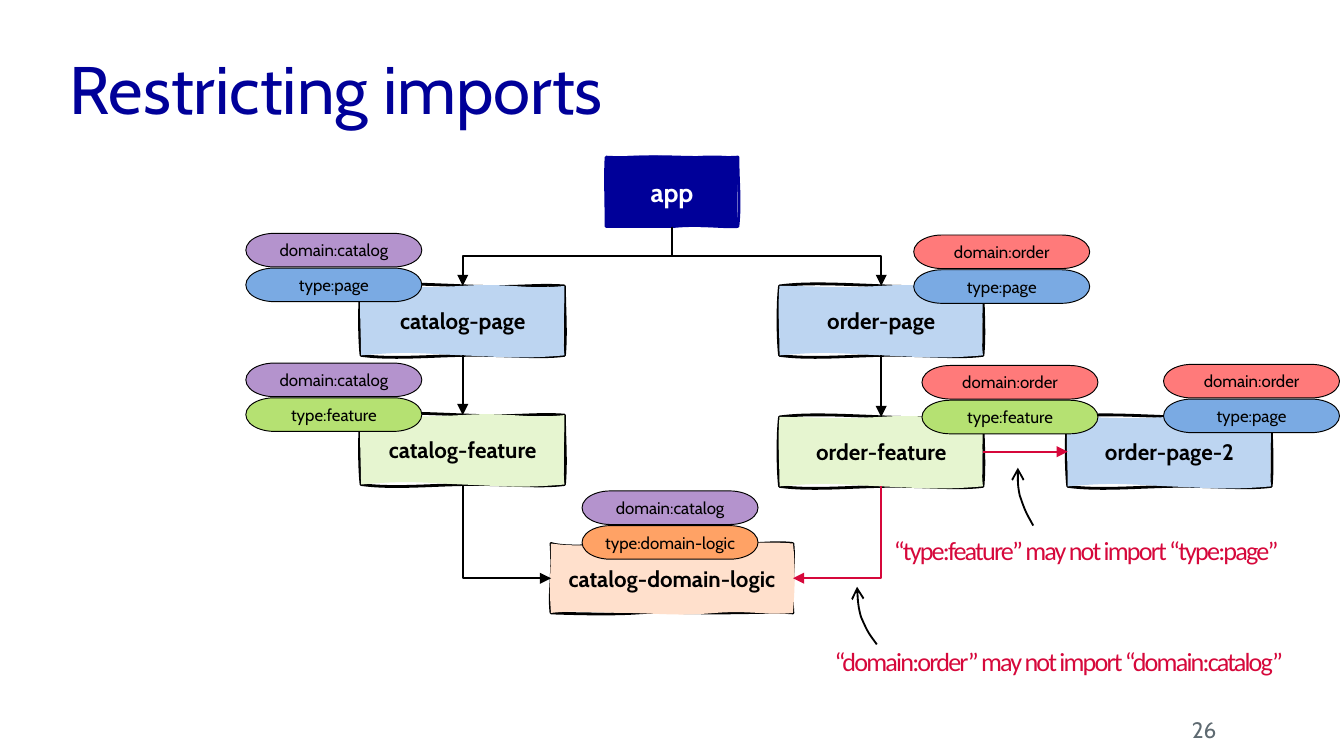
"""Builds the slide on import restrictions between tagged modules."""
from copy import deepcopy
from dataclasses import dataclass

from lxml.etree import SubElement
from pptx import Presentation
from pptx.dml.color import RGBColor
from pptx.enum.shapes import MSO_CONNECTOR, MSO_SHAPE
from pptx.enum.text import MSO_ANCHOR, PP_ALIGN
from pptx.oxml.ns import qn
from pptx.util import Pt

Point = tuple[float, float]


@dataclass(frozen=True)
class Theme:
    font: str = "Cabin"
    note_font: str = "Calibri"
    navy: str = "000099"
    black: str = "000000"
    white: str = "FFFFFF"
    gray: str = "5E6A71"
    red: str = "D6083B"
    light_blue: str = "BDD5F1"
    light_green: str = "E6F5D0"
    light_orange: str = "FFE0CC"
    blue: str = "7AAAE3"
    green: str = "B5E172"
    orange: str = "FFA265"
    catalog: str = "7030A0"
    order: str = "FF0000"
    title_size: float = 36
    app_size: float = 14
    module_size: float = 12
    note_size: float = 14
    tag_size: float = 9
    number_size: float = 12


THEME = Theme()
TAG_WIDTH, TAG_HEIGHT, TAG_PITCH = 94.3, 18, 18.6
SKETCH = (
    [(0, 0), (.13, -.05), (.27, -.03), (.52, 0), (.78, .03), (.85, -.03), (1, 0), (1, .37), (1.01, .64), (1, 1),
     (.88, 1.05), (.7, .99), (.51, 1), (.33, 1.01), (.15, 1.06), (0, 1), (-.01, .72), (-.01, .25), (0, 0)],
    [(0, 0), (.22, 0), (.25, .04), (.49, 0), (.74, -.05), (.8, .06), (1, 0), (1, .37), (.99, .8), (1, 1),
     (.8, 1.05), (.73, 1.03), (.5, 1), (.27, .97), (.23, .94), (0, 1), (0, .65), (-.01, .31), (0, 0)])
APP_SKETCH = (
    [(0, 0), (.14, .02), (.4, -.02), (.52, 0), (.64, 0), (.81, .02), (1, 0), (1, .37), (1.02, .63), (1, 1),
     (.89, 1.02), (.73, .96), (.51, 1), (.29, 1), (.15, 1), (0, 1), (0, .71), (-.01, .25), (0, 0)],
    [(0, 0), (.18, -.02), (.38, -.04), (.49, 0), (.6, .02), (.74, -.06), (1, 0), (1, .37), (.99, .79), (1, 1),
     (.76, 1.02), (.69, 1), (.5, 1), (.32, .98), (.17, 1), (0, 1), (.01, .63), (-.01, .31), (0, 0)])
LOGIC_SKETCH = (
    [(0, 0), (.08, .08), (.24, 0), (.36, 0), (.47, .02), (.58, -.02), (.69, 0), (.81, .04), (.91, -.04), (1, 0),
     (1.01, .4), (.99, .52), (1, 1), (.93, .98), (.83, 1), (.68, 1), (.54, 1), (.43, .98), (.36, 1),
     (.28, 1.02), (.16, 1.02), (0, 1), (-.01, .67), (.01, .46), (0, 0)],
    [(0, 0), (.13, .06), (.18, 0), (.32, 0), (.47, 0), (.53, 0), (.63, 0), (.72, .02), (.87, -.04), (1, 0),
     (1.01, .27), (1.01, .6), (1, 1), (.89, 1.04), (.83, .96), (.68, 1), (.54, 1.04), (.5, 1.02), (.33, 1),
     (.17, 1), (.1, .96), (0, 1), (-.01, .56), (0, .44), (0, 0)])
BOW = ([(1, 1), (.73, .86), (.73, .88), (.4, .6), (.28, .46), (.2, .36), (0, 0)],)


@dataclass(frozen=True)
class Module:
    name: str
    left: float
    top: float
    fill: str
    width: float = 109
    height: float = 37.2
    ink: str = THEME.black
    line: str = THEME.black
    size: float = THEME.module_size
    sketch: tuple = SKETCH

    def at(self, across: float, down: float) -> Point:
        return self.left + self.width * across, self.top + self.height * down


@dataclass(frozen=True)
class TagPair:
    left: float
    top: float
    domain: str
    kind: str
    fill: str


def set_text(shape, text: str, size: float, color: str, font: str = THEME.font, bold: bool = False,
             align=PP_ALIGN.CENTER, anchor=MSO_ANCHOR.MIDDLE, margins=(0, 0, 0, 0)):
    """Writes one formatted paragraph and returns it."""
    frame = shape.text_frame
    frame.text, frame.word_wrap, frame.vertical_anchor = text, True, anchor
    frame.margin_left, frame.margin_top, frame.margin_right, frame.margin_bottom = map(Pt, margins)
    paragraph = frame.paragraphs[0]
    paragraph.alignment = align
    style = paragraph.runs[0].font
    style.name, style.size, style.bold = font, Pt(size), bold
    style.color.rgb = RGBColor.from_string(color)
    return paragraph


def add_text(page, frame: tuple, *args, **options):
    """Adds a text box and returns its paragraph."""
    return set_text(page.shapes.add_textbox(*map(Pt, frame)), *args, **options)


def style_line(shape, color: str, width: float, head: str = "") -> None:
    """Sets a line's colour, width and optional arrowhead."""
    shape.line.color.rgb = RGBColor.from_string(color)
    shape.line.width = Pt(width)
    if head:
        SubElement(shape.line._get_or_add_ln(), qn("a:tailEnd"), type=head)


def draw_curves(page, frame: tuple, profiles: tuple, close: bool):
    """Draws chained cubic curves, given as fractions of a frame."""
    left, top, width, height = map(Pt, frame)
    builder = page.shapes.build_freeform(left, top)
    for number, profile in enumerate(profiles):
        first, *rest = [(left + int(x * width), top + int(y * height)) for x, y in profile]
        if number == 0:
            builder = page.shapes.build_freeform(*first)
        else:
            builder.move_to(*first)
        builder.add_line_segments(rest, close=close)
    shape = builder.convert_to_shape()
    shape.shadow.inherit = False
    path = next(shape._element.iter(qn("a:path")))
    for point in path.iter(qn("a:pt")):
        point.set("x", str(int(point.get("x")) + shape.left - left))
        point.set("y", str(int(point.get("y")) + shape.top - top))
    path.set("w", str(width))
    path.set("h", str(height))
    shape.left, shape.top, shape.width, shape.height = left, top, width, height
    lines = path.findall(qn("a:lnTo"))
    for start in range(0, len(lines), 3):
        curve = path.makeelement(qn("a:cubicBezTo"))
        lines[start].addprevious(curve)
        for line in lines[start:start + 3]:
            curve.append(line[0])
            path.remove(line)
    return shape


def draw_module(page, module: Module):
    """Draws a hand-sketched box whose fill lies over its outline."""
    box = draw_curves(page, (module.left, module.top, module.width, module.height), module.sketch, True)
    outline = next(box._element.iter(qn("a:path")))
    interior = deepcopy(outline)
    outline.addnext(interior)
    half = len(outline) // 2
    del outline[half:], interior[:half]
    outline.set("fill", "none")
    interior.set("stroke", "0")
    box.fill.solid()
    box.fill.fore_color.rgb = RGBColor.from_string(module.fill)
    style_line(box, module.line, 1.5)
    set_text(box, module.name, module.size, module.ink, bold=True)
    return box


def draw_connector(page, kind, start: Point, end: Point, color: str):
    """Draws an arrow connector without shadow."""
    connector = page.shapes.add_connector(kind, *map(Pt, start + end))
    style_line(connector, color, 1, "triangle")
    SubElement(connector._element.spPr, qn("a:effectLst"))
    return connector


def draw_elbow(page, start: Point, end: Point, color: str, preset: str) -> None:
    """Draws a bent arrow that leaves downwards."""
    (x1, y1), (x2, y2) = start, end
    x, y, half_height = (x1 + x2) / 2, (y1 + y2) / 2, abs(x2 - x1) / 2
    turn = 1 if x2 < x1 else -1
    reach = turn * (y2 - y1) / 2
    connector = draw_connector(page, MSO_CONNECTOR.ELBOW, (x - reach, y - half_height),
                               (x + reach, y + half_height), color)
    properties = connector._element.spPr
    properties.find(qn("a:xfrm")).set("rot", str(turn * 90 % 360 * 60000))
    properties.find(qn("a:prstGeom")).set("prst", preset)


def draw_tag(page, left: float, top: float, text: str, fill: str, alpha: int = 100) -> None:
    """Draws one pill-shaped tag."""
    tag = page.shapes.add_shape(MSO_SHAPE.FLOWCHART_TERMINATOR, *map(Pt, (left, top, TAG_WIDTH, TAG_HEIGHT)))
    tag.shadow.inherit = False
    tag.fill.solid()
    tag.fill.fore_color.rgb = RGBColor.from_string(fill)
    if alpha < 100:
        SubElement(next(tag._element.spPr.iter(qn("a:srgbClr"))), qn("a:alpha"), val=str(alpha * 1000))
    style_line(tag, THEME.black, 0.5)
    set_text(tag, text, THEME.tag_size, THEME.black)


def draw_note(page, text: str, frame: tuple, arrow_frame: tuple, rotation: float) -> None:
    """Draws a red remark with its curved arrow."""
    arrow = draw_curves(page, arrow_frame, BOW, False)
    arrow.rotation = rotation
    arrow.fill.background()
    style_line(arrow, THEME.black, 1, "arrow")
    paragraph = add_text(page, frame, text, THEME.note_size, THEME.red, THEME.note_font, align=PP_ALIGN.LEFT,
                         anchor=MSO_ANCHOR.TOP, margins=(0, 3.6, 0, 3.6))
    paragraph.runs[0].font._element.set("spc", "-100")


def main() -> None:
    """Builds and saves the deck."""
    deck = Presentation()
    deck.slide_width, deck.slide_height = Pt(720), Pt(405)
    page = deck.slides.add_slide(deck.slide_layouts[6])
    title = add_text(page, (37.4, 15.1, 615, 69), "Restricting imports", THEME.title_size, THEME.navy,
                     align=PP_ALIGN.LEFT)
    title.line_spacing = 0.9
    add_text(page, (601.2, 383, 50.4, 16), "26", THEME.number_size, THEME.gray, align=PP_ALIGN.RIGHT,
             margins=(7.2, 3.6, 0, 3.6))

    app = Module("app", 324.7, 84.2, THEME.navy, 70.6, ink=THEME.white, line=THEME.navy,
                 size=THEME.app_size, sketch=APP_SKETCH)
    catalog_page = Module("catalog-page", 193.4, 153.2, THEME.light_blue)
    order_page = Module("order-page", 417.6, 153.2, THEME.light_blue)
    catalog_feature = Module("catalog-feature", 193.4, 222.4, THEME.light_green)
    order_feature = Module("order-feature", 417.6, 223.4, THEME.light_green)
    logic = Module("catalog-domain-logic", 295.2, 291.2, THEME.light_orange, 129.6, sketch=LOGIC_SKETCH)
    second_page = Module("order-page-2", 572, 223.4, THEME.light_blue)
    modules = (app, catalog_page, order_page, catalog_feature, order_feature, logic, second_page)
    boxes = {module.name: draw_module(page, module) for module in modules}

    for source, target, side, color, preset in (
            (app, catalog_page, (.5, 0), THEME.black, "bentConnector3"),
            (app, order_page, (.5, 0), THEME.black, "bentConnector3"),
            (order_feature, logic, (1, .5), THEME.red, "bentConnector2"),
            (catalog_feature, logic, (0, .5), THEME.black, "bentConnector2")):
        draw_elbow(page, source.at(.5, 1), target.at(*side), color, preset)
    down, across = ((.5, 1), (.5, 0), 2, 0), ((1, .5), (0, .5), 3, 1)
    for source, target, (start, end, begin_site, end_site), color in (
            (catalog_page, catalog_feature, down, THEME.black),
            (order_page, order_feature, down, THEME.black),
            (order_feature, second_page, across, THEME.red)):
        connector = draw_connector(page, MSO_CONNECTOR.STRAIGHT, source.at(*start), target.at(*end), color)
        connector.begin_connect(boxes[source.name], begin_site)
        connector.end_connect(boxes[target.name], end_site)

    draw_note(page, "“domain:order” may not import “domain:catalog”", (447.1, 342, 253.4, 24.5),
              (452.2, 319, 24.5, 21.6), 29.6)
    draw_note(page, "“type:feature” may not import “type:page”", (478.8, 283, 221.8, 24.5),
              (535.7, 257.8, 27.4, 16.6), 43.9)

    domain_fills = {"catalog": THEME.catalog, "order": THEME.order}
    for pair in (TagPair(131.7, 125, "catalog", "page", THEME.blue),
                 TagPair(131.7, 194.5, "catalog", "feature", THEME.green),
                 TagPair(489.5, 125.9, "order", "page", THEME.blue),
                 TagPair(493.9, 195.8, "order", "feature", THEME.green),
                 TagPair(623.3, 195.2, "order", "page", THEME.blue),
                 TagPair(311.8, 263, "catalog", "domain-logic", THEME.orange)):
        draw_tag(page, pair.left, pair.top + TAG_PITCH, f"type:{pair.kind}", pair.fill)
        draw_tag(page, pair.left, pair.top, f"domain:{pair.domain}", domain_fills[pair.domain], 52)
    deck.save("out.pptx")


if __name__ == "__main__":
    main()
